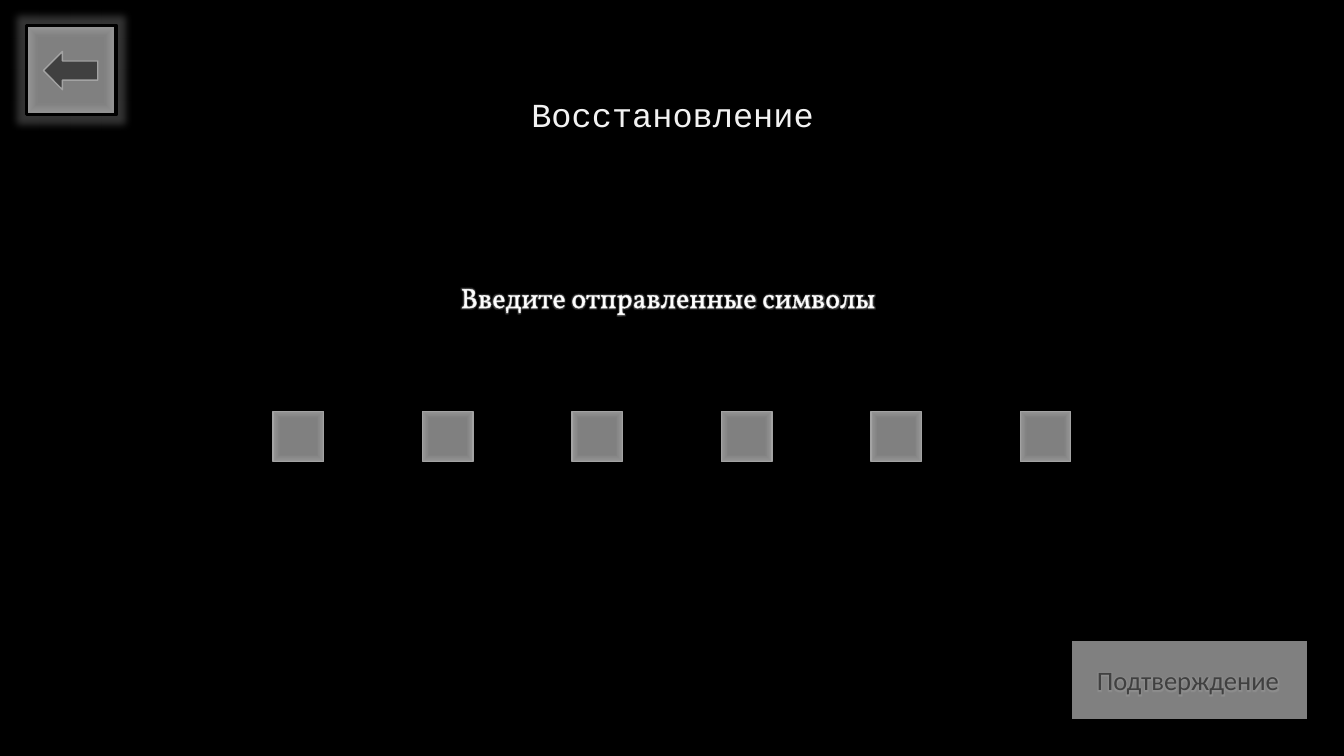
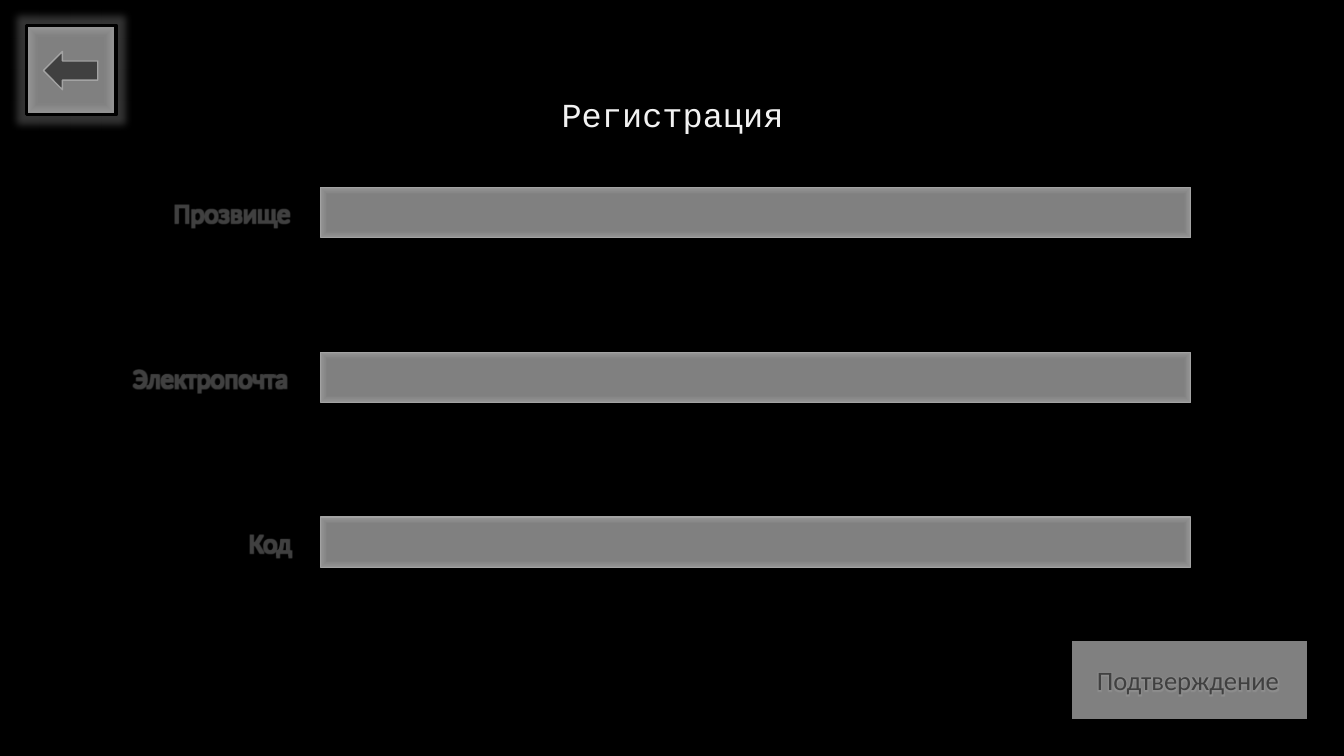
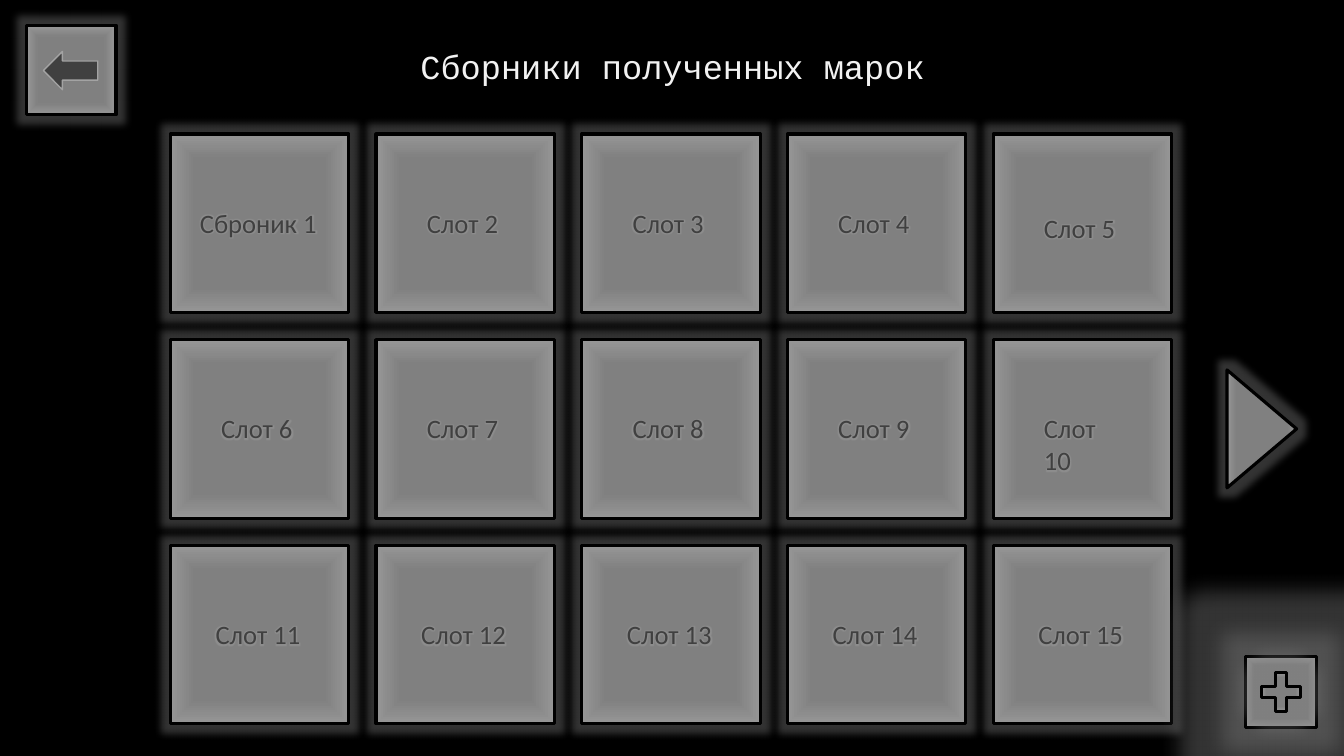
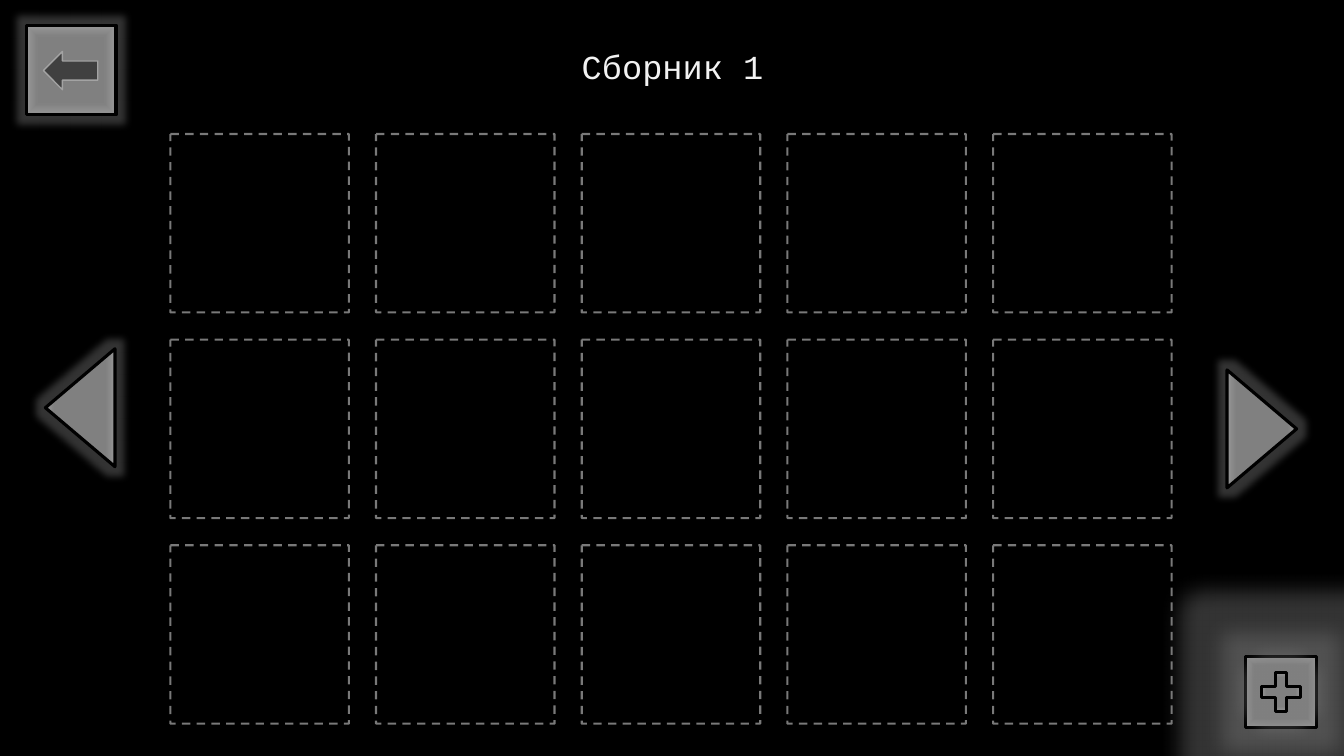
from lxml import etree
from pptx import Presentation
from pptx import util as u
from pptx.dml import color
from pptx.enum import dml, shapes, text
from pptx.oxml import ns

RGB = color.RGBColor
BLACK = RGB(0x00, 0x00, 0x00)
WHITE = RGB(0xFF, 0xFF, 0xFF)
SNOW = RGB(0xF2, 0xF2, 0xF2)
MIST = RGB(0xD9, 0xD9, 0xD9)
EDGE = RGB(0xA3, 0xA3, 0xA3)
PALE = RGB(0x96, 0x96, 0x96)
GREY = RGB(0x80, 0x80, 0x80)
DARK = RGB(0x40, 0x40, 0x40)

KIND = shapes.MSO_SHAPE
CELL, STEP, LEFT, TOP = 1.77, 2.04, 1.69, 1.33
COLS, ROWS = 5, 3
HALO = 11

TITLE = dict(font=dict(name="Courier New", size=u.Pt(24)), ink=SNOW, rim=WHITE, wide=0.75)
HINT = dict(font=dict(name="Vollkorn", size=u.Pt(20)), ink=WHITE, rim=MIST, wide=0.01, glow=4)
LABEL = dict(font=dict(name="Calibri", size=u.Pt(19)), ink=DARK, rim=MIST, wide=0.01, glow=4)
SLOT = dict(LABEL, rim=GREY)
THIN = dict(color=EDGE, width=1)
BOLD = dict(color=BLACK, width=2.25)


def apply(item, values):
    """Set every attribute named in values."""
    for name, value in values.items():
        setattr(item, name, value)


def node(base, tag, **values):
    """Append a drawing element to base."""
    return etree.SubElement(base, ns.qn("a:" + tag), values)


def paint(base, tone, alpha=None):
    """Append a solid colour, with an optional opacity in percent."""
    ink = node(base, "srgbClr", val=str(tone))
    if alpha:
        node(ink, "alpha", val=str(alpha * 1000))


def add_glow(base, size, tone=GREY, alpha=40):
    """Append a glow of the given size in points."""
    paint(node(base, "glow", rad=str(u.Pt(size))), tone, alpha)


def shade(shape):
    """Fill a shape with a grey gradient that is paler at its rim."""
    shape.fill.background()
    props = shape._element.spPr
    grad = etree.Element(ns.qn("a:gradFill"), rotWithShape="1")
    stops = node(grad, "gsLst")
    for pos, tone in ((72, GREY), (100, PALE)):
        paint(node(stops, "gs", pos=str(pos * 1000)), tone)
    sides = dict.fromkeys("ltrb", "50000")
    node(node(grad, "path", path="shape"), "fillToRect", **sides)
    props.replace(props.find(ns.qn("a:noFill")), grad)


def add_box(pool, kind, at, line, fill=None, glow=0, adj=None, turn=0):
    """Add a preset shape, shaded unless a plain fill is given."""
    shape = pool.add_shape(kind, *map(u.Inches, at))
    shape.rotation = turn
    if adj is not None:
        shape.adjustments[0] = adj
    if fill is None:
        shade(shape)
    else:
        shape.fill.solid()
        shape.fill.fore_color.rgb = fill
    shape.line.color.rgb = line["color"]
    shape.line.width = u.Pt(line["width"])
    shape.shadow.inherit = False
    if glow:
        add_glow(shape._element.spPr.find(ns.qn("a:effectLst")), glow)
    return shape


def add_text(pool, words, at, style, wrap=True, **form):
    """Add a text box of one run with outlined letters."""
    box = pool.add_textbox(*map(u.Inches, at))
    apply(box.text_frame, dict(word_wrap=wrap, auto_size=text.MSO_AUTO_SIZE.SHAPE_TO_FIT_TEXT))
    para = box.text_frame.paragraphs[0]
    apply(para, form)
    run = para.add_run()
    run.text = words
    apply(run.font, style["font"])
    run.font.color.rgb = style["ink"]
    props = run.font._element
    rim = etree.Element(ns.qn("a:ln"), w=str(u.Pt(style["wide"])))
    paint(node(rim, "solidFill"), style["rim"])
    props.insert(0, rim)
    if "glow" in style:
        halo = etree.Element(ns.qn("a:effectLst"))
        add_glow(halo, style["glow"], EDGE)
        props.insert(2, halo)


def add_head(pool, words, low=False):
    """Add a centred title, set lower on the form slides."""
    form = dict(alignment=text.PP_ALIGN.CENTER)
    if not low:
        form.update(line_spacing=0.9, space_before=u.Pt(10))
    add_text(pool, words, (1.67, 0.88 if low else 0.45, 10, 0.5), TITLE, **form)


def add_back(pool):
    """Add the back button."""
    group = pool.add_group_shape().shapes
    add_box(group, KIND.ROUNDED_RECTANGLE, (0.26, 0.25, 0.89, 0.89), BOLD, glow=HALO, adj=0)
    add_box(group, KIND.LEFT_ARROW, (0.43, 0.51, 0.54, 0.38), THIN, DARK)


def add_done(pool):
    """Add the confirm button."""
    group = pool.add_group_shape().shapes
    add_box(group, KIND.RECTANGLE, (10.62, 6.34, 2.36, 0.81), BOLD, GREY)
    add_text(group, "Подтверждение", (10.78, 6.54, 2.05, 0.42), SLOT)


def add_plus(pool):
    """Add the button for a new item."""
    group = pool.add_group_shape().shapes
    add_box(group, KIND.RECTANGLE, (12.35, 6.51, 0.71, 0.71), BOLD, glow=31)
    add_box(group, KIND.CROSS, (12.51, 6.67, 0.39, 0.39), BOLD, glow=23, adj=0.354)


def add_turn(pool, left, top, turn):
    """Add a page arrow."""
    add_box(pool, KIND.ISOSCELES_TRIANGLE, (left, top, 1.17, 0.69), BOLD, glow=HALO, turn=turn)


def add_field(pool, left, top, width):
    """Add an input field."""
    add_box(pool, KIND.RECTANGLE, (left, top, width, 0.5), THIN)


def cells():
    """Yield the number, left and top of each grid cell, row by row."""
    for i in range(COLS * ROWS):
        row, col = divmod(i, COLS)
        yield i + 1, LEFT + col * STEP, TOP + row * STEP


def add_slots(pool):
    """Add the grid of albums with their names."""
    grid = list(cells())
    for num, left, top in grid:
        add_box(pool, KIND.ROUNDED_RECTANGLE, (left, top, CELL, CELL), BOLD, glow=HALO, adj=0)
    wide = {1: 1.38, 10: 0.96}
    drop = {5: 0.05}
    for num, left, top in grid:
        width = wide.get(num, 0.96 if num < 10 else 1.07)
        at = (left + (CELL - width) / 2, top + 0.67 + drop.get(num, 0), width, 0.74 if num == 10 else 0.42)
        add_text(pool, "Сброник 1" if num == 1 else f"Слот {num}", at, SLOT)


def add_blanks(pool):
    """Add the grid of dashed empty places."""
    for num, left, top in cells():
        box = add_box(pool, KIND.ROUNDED_RECTANGLE, (left, top, CELL, CELL), dict(color=GREY, width=1.5), adj=0)
        box.fill.background()
        box.line.dash_style = dml.MSO_LINE.DASH
        tone = box.line._ln.find(".//" + ns.qn("a:srgbClr"))
        node(tone, "alpha", val="94000")


def restore(pool):
    """Fill the slide for the code that was sent."""
    add_head(pool, "Восстановление", low=True)
    add_text(pool, "Введите отправленные символы", (4.47, 2.73, 4.4, 0.44), HINT)
    for i in range(6):
        add_field(pool, 2.71 + i * 1.482, 4.08, 0.5)
    add_done(pool)


def sign_up(pool):
    """Fill the slide for a new account."""
    add_head(pool, "Регистрация", low=True)
    rows = (("Прозвище", 1.39), ("Электропочта", 1.8), ("Код", 0.65))
    for i, (words, width) in enumerate(rows):
        top = 1.86 + i * 1.635
        add_text(pool, words, (3.02 - width, top + 0.04, width, 0.42), LABEL)
        add_field(pool, 3.18, top, 8.63)
    add_done(pool)


def albums(pool):
    """Fill the slide of all albums."""
    add_head(pool, "Сборники полученных марок")
    add_slots(pool)
    add_turn(pool, 11.93, 3.91, 90)
    add_plus(pool)


def album(pool):
    """Fill the slide of one album."""
    add_blanks(pool)
    add_turn(pool, 11.93, 3.91, 90)
    add_plus(pool)
    add_head(pool, "Сборник 1")
    add_turn(pool, 0.21, 3.7, 270)


def main():
    """Build and save the slides."""
    deck = Presentation()
    apply(deck, dict(slide_width=u.Inches(13.33), slide_height=u.Inches(7.5)))
    back = deck.slide_master.background.fill
    back.solid()
    back.fore_color.rgb = BLACK
    for draw in (restore, sign_up, albums, album):
        pool = deck.slides.add_slide(deck.slide_layouts[6]).shapes
        draw(pool)
        add_back(pool)
    deck.save("out.pptx")


if __name__ == "__main__":
    main()
